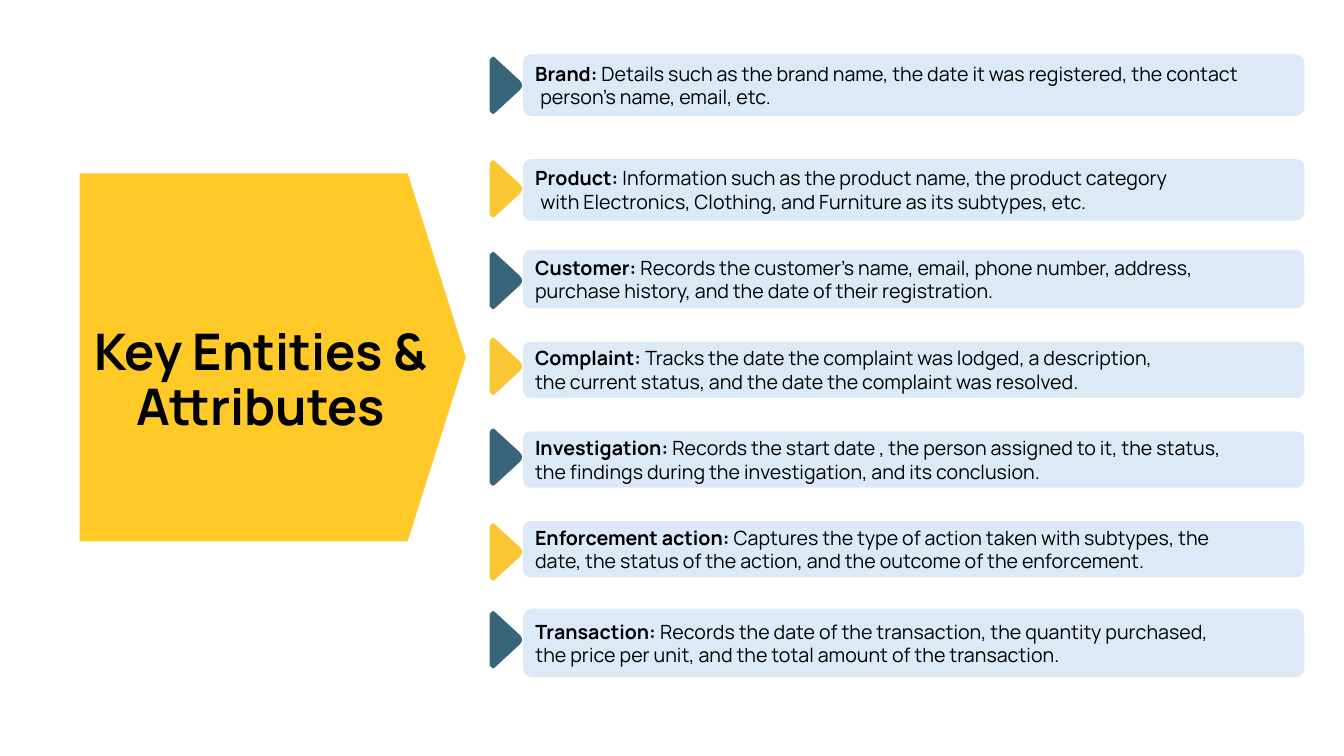
from pptx import Presentation
from pptx.dml.color import RGBColor
from pptx.enum.shapes import MSO_SHAPE
from pptx.enum.text import MSO_ANCHOR, PP_ALIGN
from pptx.util import Cm, Pt

YELLOW = RGBColor(0xFF, 0xC9, 0x27)
AMBER = RGBColor(0xFB, 0xC6, 0x34)
TEAL = RGBColor(0x38, 0x65, 0x79)
PALE_BLUE = RGBColor(0xDC, 0xEA, 0xF7)
BLACK = RGBColor(0, 0, 0)
FONT = "Manrope"

ENTITIES = [
    ("Brand:", "Details such as the brand name, the date it was registered, the contact",
     "person's name, email, etc.", 1.37, 1.55, 1.4, 0.13),
    ("Product:", "Information such as the product name, the product category",
     "with Electronics, Clothing, and Furniture as its subtypes, etc.", 4.01, 1.55, 4.01, 0.13),
    ("Customer:", "Records the customer's name, email, phone number, address,",
     "purchase history, and the date of their registration.", 6.3, 1.47, 6.32, 0),
    ("Complaint:", "Tracks the date the complaint was lodged, a description,",
     "the current status, and the date the complaint was resolved.", 8.61, 1.42, 8.48, 0),
    ("Investigation:", "Records the start date , the person assigned to it, the status,",
     "the findings during the investigation, and its conclusion.", 10.87, 1.42, 10.77, 0),
    ("Enforcement action:", "Captures the type of action taken with subtypes, the",
     "date, the status of the action, and the outcome of the enforcement.", 13.13, 1.42, 13.16, 0),
    ("Transaction:", "Records the date of the transaction, the quantity purchased,",
     "the price per unit, and the total amount of the transaction.", 15.34, 1.73, 15.37, 0),
]

POINTER_CORNERS = [
    [(13, 5), (8, 0), (0, 5), (0, 17)],
    [(0, 133), (0, 145), (8, 150), (13, 145)],
    [(76, 87), (83, 81), (83, 69), (76, 63)],
]
STEPS = 8


def paint(shape, color):
    shape.shadow.inherit = False
    shape.fill.solid()
    shape.fill.fore_color.rgb = color
    shape.line.fill.background()


def style(span, size, bold):
    span.font.name = FONT
    span.font.size = Pt(size)
    span.font.bold = bold
    span.font.color.rgb = BLACK


deck = Presentation()
deck.slide_width = Cm(33.87)
deck.slide_height = Cm(19.05)
page = deck.slides.add_slide(deck.slide_layouts[6])

banner = page.shapes.add_shape(MSO_SHAPE.PENTAGON, Cm(2.01), Cm(4.37), Cm(9.73), Cm(9.27))
banner.adjustments[0] = 0.158
paint(banner, YELLOW)

title = page.shapes.add_textbox(Cm(1.07), Cm(6.07), Cm(11), Cm(7.09))
title.text_frame.word_wrap = True
title.text_frame.vertical_anchor = MSO_ANCHOR.MIDDLE
title.text_frame.text = "Key Entities & Attributes"
heading = title.text_frame.paragraphs[0]
heading.alignment = PP_ALIGN.CENTER
heading.line_spacing = 0.9
heading.space_after = Pt(6)
style(heading.runs[0], 36, True)

pointer_points = []
for corner in POINTER_CORNERS:
    for step in range(STEPS + 1):
        t = step / STEPS
        weights = ((1 - t) ** 3, 3 * t * (1 - t) ** 2, 3 * t ** 2 * (1 - t), t ** 3)
        pointer_points.append(tuple(
            sum(weight * point[axis] for weight, point in zip(weights, corner))
            for axis in (0, 1)))

for index, (name, first_line, second_line, top, height, pointer_top, indent) in enumerate(ENTITIES):
    box = page.shapes.add_shape(MSO_SHAPE.ROUNDED_RECTANGLE, Cm(13.18), Cm(top), Cm(19.69), Cm(height))
    box.adjustments[0] = 0.132
    paint(box, PALE_BLUE)
    frame = box.text_frame
    frame.word_wrap = True
    frame.vertical_anchor = MSO_ANCHOR.MIDDLE
    frame.text = f"{name} \n{second_line}"
    opening, closing = frame.paragraphs
    opening.add_run().text = first_line
    closing._p.get_or_add_pPr().set("marL", str(Cm(indent)))
    for para in frame.paragraphs:
        para.alignment = PP_ALIGN.LEFT
        for span in para.runs:
            style(span, 14, False)
    opening.runs[0].font.bold = True

    builder = page.shapes.build_freeform(*pointer_points[0], scale=Cm(0.01))
    builder.add_line_segments(pointer_points[1:], close=True)
    pointer = builder.convert_to_shape(Cm(12.34), Cm(pointer_top))
    paint(pointer, AMBER if index % 2 else TEAL)

deck.save("out.pptx")
